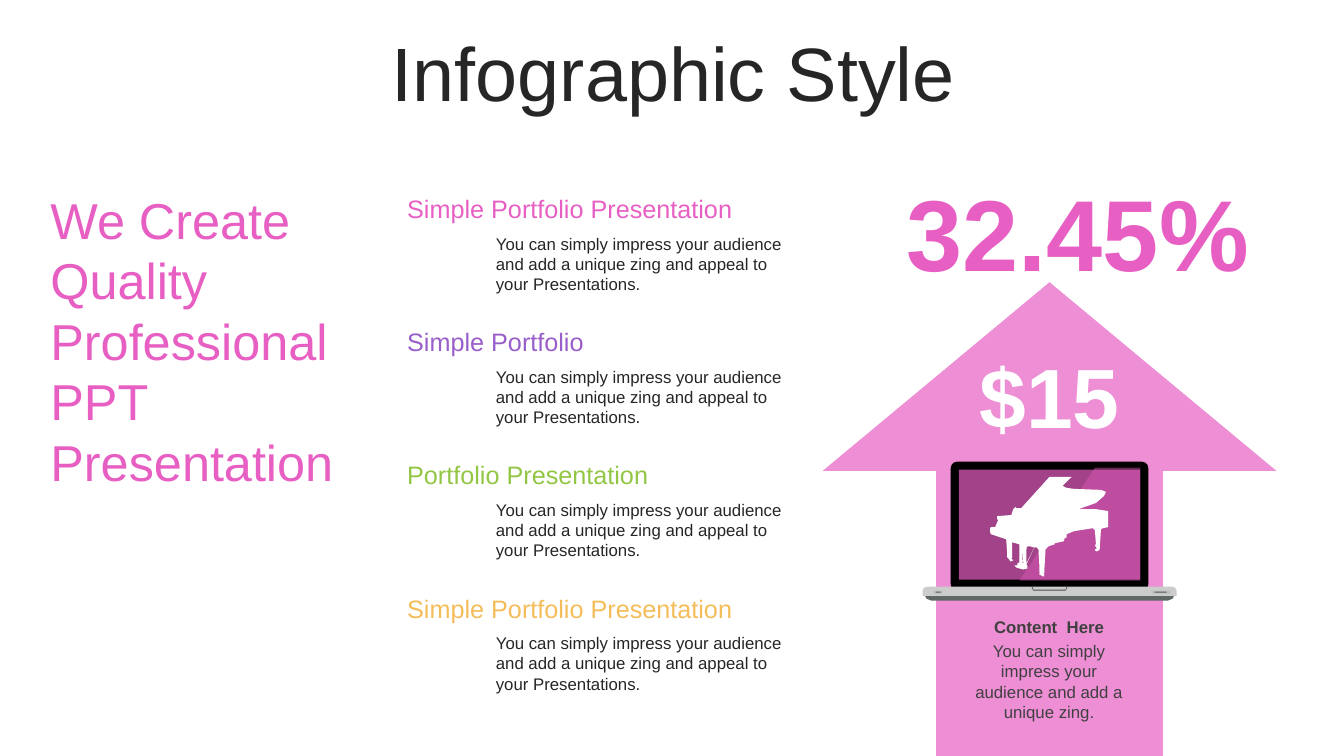
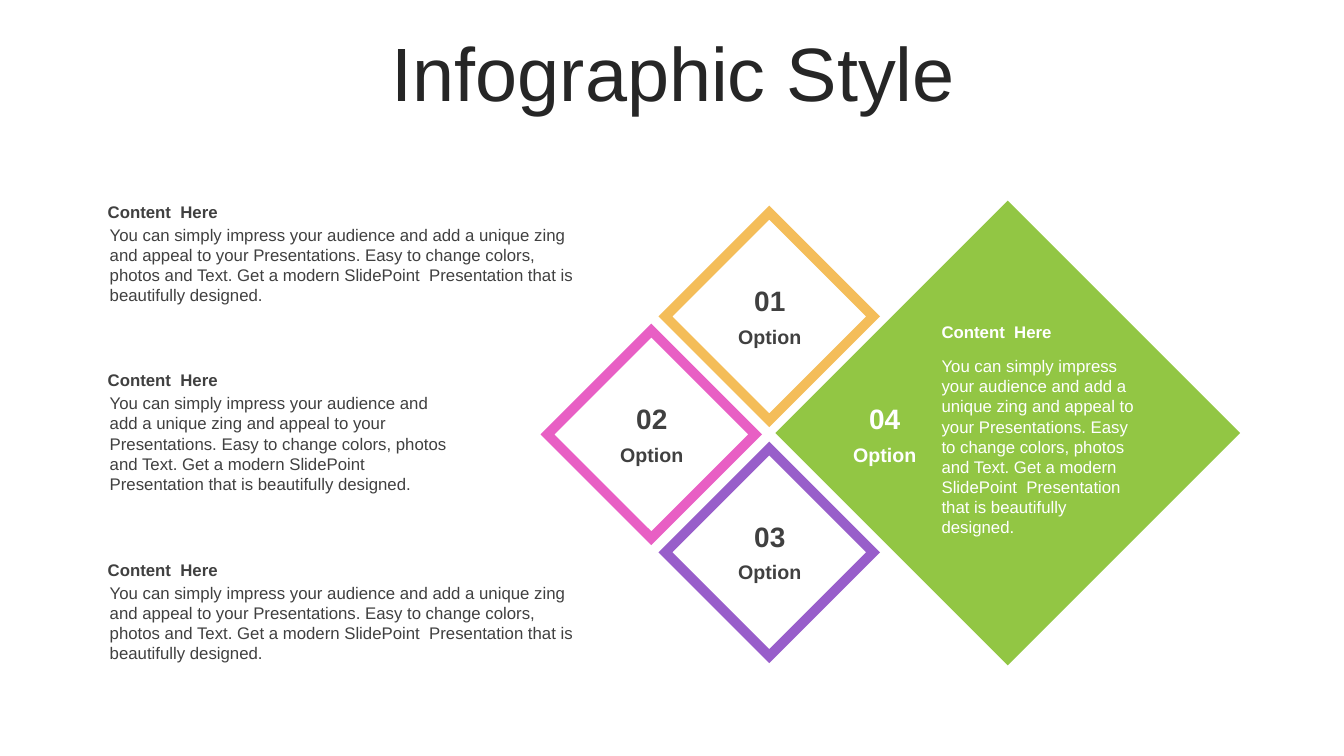
from dataclasses import dataclass

from lxml import etree
from pptx import Presentation
from pptx import util as u
from pptx.dml.color import RGBColor
from pptx.enum import shapes, text
from pptx.oxml.ns import qn
from pptx.shapes.autoshape import Shape
from pptx.slide import Slide

PX = 9144
WIDE, HIGH = 1333, 750
FONT = "Arial"
PINK = RGBColor(0xE8, 0x5F, 0xC4)
PURPLE = RGBColor(0x98, 0x5E, 0xCA)
GREEN = RGBColor(0x92, 0xC6, 0x44)
GOLD = RGBColor(0xF4, 0xBD, 0x59)
INK = RGBColor(0x26, 0x26, 0x26)
GREY = RGBColor(0x40, 0x40, 0x40)
WHITE = RGBColor(0xFF, 0xFF, 0xFF)
BLACK = RGBColor(0, 0, 0)
SILVER = RGBColor(0xCC, 0xCC, 0xCC)
PALE = RGBColor(0xBF, 0xBF, 0xBF)
SLATE = RGBColor(0x5F, 0x67, 0x67)
NOTCH = RGBColor(0x4D, 0x4D, 0x4D)
SLOT = RGBColor(0x59, 0x59, 0x59)

KIND = shapes.MSO_SHAPE
MIDDLE = text.MSO_ANCHOR.MIDDLE
HEAD = "Content  Here"
PITCH = "You can simply impress your audience and add a unique zing"
SHORT = PITCH + " and appeal to your Presentations."
LONG = (SHORT + " Easy to change colors, photos and Text. Get a modern "
        "SlidePoint  Presentation that is beautifully designed.")

Point = tuple[int, int]
PIANO: list[Point] = [
    (1019, 542), (1018, 543), (1018, 559), (1026, 543), (1018, 560),
    (1019, 561), (1019, 564), (1015, 565), (1011, 564), (1008, 563),
    (1007, 562), (1006, 561), (1009, 561), (1009, 559), (1011, 558),
    (1011, 540), (1004, 538), (1004, 553), (1003, 554), (1005, 556),
    (1002, 557), (1001, 555), (999, 553), (999, 549), (998, 535),
    (983, 530), (982, 528), (982, 524), (983, 523), (987, 523),
    (990, 516), (989, 515), (989, 512), (1003, 511), (1005, 505),
    (1007, 503), (1008, 504), (1013, 504), (1041, 473), (1063, 473),
    (1054, 482), (1058, 484), (1065, 485), (1092, 486), (1097, 488),
    (1095, 492), (1087, 499), (1070, 505), (1086, 505), (1099, 507),
    (1099, 523), (1094, 524), (1092, 525), (1091, 540), (1091, 544),
    (1090, 546), (1088, 547), (1086, 546), (1086, 545), (1088, 544),
    (1086, 541), (1087, 540), (1086, 526), (1084, 524), (1065, 527),
    (1058, 530), (1058, 533), (1056, 534), (1055, 537), (1046, 539),
    (1046, 540), (1040, 542), (1037, 545), (1036, 563), (1036, 568),
    (1035, 569), (1036, 570), (1035, 572), (1033, 571), (1031, 570),
    (1031, 569), (1032, 568), (1031, 568), (1031, 563), (1030, 545),
    (1028, 543), (1025, 543), (1022, 542), (1019, 542), (1014, 558),
    (1015, 559), (1014, 542), (1014, 557),
]
FOOT: list[Point] = [
    (917, 590), (1165, 590), (1163, 594), (1158, 596), (924, 596), (919, 594),
]
GLOSS: list[Point] = [(1086, 464), (1131, 464), (1131, 576), (1011, 576)]
DENT: list[Point] = [
    (1023, 582), (1024, 582), (1025, 585), (1057, 585), (1058, 582),
    (1059, 582), (1057, 586), (1025, 586),
]


@dataclass(frozen=True)
class Box:
    x: int
    y: int
    w: int
    h: int


@dataclass(frozen=True)
class Style:
    size: int
    color: RGBColor
    bold: bool = False
    center: bool = False
    lead: float = 1.0


@dataclass(frozen=True)
class Topic:
    head: str
    color: RGBColor


@dataclass(frozen=True)
class Option:
    label: str
    x: int
    y: int
    size: int
    fill: RGBColor
    ink: RGBColor
    edge: RGBColor | None = None


@dataclass(frozen=True)
class Note:
    y: int
    w: int
    h: int


@dataclass(frozen=True)
class Part:
    kind: KIND
    box: Box
    color: RGBColor
    bend: tuple[float, ...] = ()
    alpha: int = 100


TOPICS = [
    Topic("Simple Portfolio Presentation", PINK),
    Topic("Simple Portfolio", PURPLE),
    Topic("Portfolio Presentation", GREEN),
    Topic("Simple Portfolio Presentation", GOLD),
]
OPTIONS = [
    Option("02", 646, 431, 206, WHITE, GREY, PINK),
    Option("01", 763, 314, 206, WHITE, GREY, GOLD),
    Option("03", 763, 548, 206, WHITE, GREY, PURPLE),
]
NOTES = [Note(195, 488, 91), Note(362, 357, 111), Note(550, 488, 91)]
ARROW = Part(KIND.UP_ARROW, Box(816, 280, 450, 470), PINK, (0.5, 0.416), 70)
SCREEN = [
    Part(KIND.ROUNDED_RECTANGLE, Box(943, 458, 196, 128), BLACK, (0.05,)),
    Part(KIND.RECTANGLE, Box(951, 466, 180, 109), PINK, (), 70),
]
BASE = Part(KIND.ROUND_2_SAME_RECTANGLE, Box(915, 582, 252, 9), SILVER, (0.5, 0))
PORTS = [
    Part(KIND.ROUNDED_RECTANGLE, box, color, (0.28,))
    for box, color in [
        (Box(926, 586, 9, 3), PALE), (Box(928, 587, 5, 1), SLOT),
        (Box(1142, 586, 19, 3), PALE), (Box(1145, 587, 12, 1), SLOT),
    ]
]


def write(slide: Slide, box: Box, lines: list[str], style: Style,
          anchor: text.MSO_ANCHOR = text.MSO_ANCHOR.TOP,
          pad: Point = (10, 5)) -> None:
    frame = slide.shapes.add_textbox(
        box.x * PX, box.y * PX, box.w * PX, box.h * PX).text_frame
    frame.word_wrap = True
    frame.vertical_anchor = anchor
    frame.margin_left = frame.margin_right = pad[0] * PX
    frame.margin_top = frame.margin_bottom = pad[1] * PX
    for i, line in enumerate(lines):
        para = frame.add_paragraph() if i else frame.paragraphs[0]
        para.alignment = (text.PP_ALIGN.CENTER if style.center
                          else text.PP_ALIGN.LEFT)
        para.line_spacing = style.lead
        run = para.add_run()
        run.text = line
        run.font.name = FONT
        run.font.size = u.Pt(style.size)
        run.font.bold = style.bold
        run.font.color.rgb = style.color


def paint(shape: Shape, color: RGBColor, alpha: int = 100) -> None:
    shape.shadow.inherit = False
    shape.fill.solid()
    shape.fill.fore_color.rgb = color
    shape.line.fill.background()
    if alpha < 100:
        tint = shape._element.spPr.find(qn("a:solidFill"))[0]
        etree.SubElement(tint, qn("a:alpha"), val=str(alpha * 1000))


def place(slide: Slide, part: Part) -> Shape:
    box = part.box
    shape = slide.shapes.add_shape(
        part.kind, box.x * PX, box.y * PX, box.w * PX, box.h * PX)
    for i, bend in enumerate(part.bend):
        shape.adjustments[i] = bend
    paint(shape, part.color, part.alpha)
    return shape


def trace(slide: Slide, points: list[Point], color: RGBColor,
          alpha: int = 100) -> None:
    pen = slide.shapes.build_freeform(*points[0], scale=PX)
    pen.add_line_segments(points[1:], close=True)
    paint(pen.convert_to_shape(), color, alpha)


def title(slide: Slide) -> None:
    write(slide, Box(35, 37, 1266, 79), ["Infographic Style"],
          Style(54, INK, center=True, lead=0.9), MIDDLE)


def laptop(slide: Slide) -> None:
    trace(slide, FOOT, SLATE)
    for part in SCREEN:
        place(slide, part)
    place(slide, BASE)
    trace(slide, DENT, NOTCH)
    for part in PORTS:
        place(slide, part)
    trace(slide, GLOSS, PINK, 40)
    trace(slide, PIANO, WHITE)


def topic(slide: Slide, item: Topic, y: int) -> None:
    write(slide, Box(394, y, 408, 34), [item.head],
          Style(18, item.color, lead=0.8))
    write(slide, Box(482, y + 34, 320, 71), [SHORT], Style(12, INK))


def option(slide: Slide, item: Option) -> None:
    half = item.size // 2
    shape = place(slide, Part(
        KIND.DIAMOND,
        Box(item.x - half, item.y - half, item.size, item.size), item.fill))
    if item.edge is not None:
        shape.line.color.rgb = item.edge
        shape.line.width = u.Pt(7)
        etree.SubElement(shape.line._get_or_add_ln(), qn("a:miter"), lim="800000")


def label(slide: Slide, name: str, x: int, y: int, ink: RGBColor) -> None:
    write(slide, Box(x - 59, y + 3, 119, 34), ["Option"],
          Style(14, ink, True, True))
    write(slide, Box(x - 38, y - 38, 77, 44), [name],
          Style(20, ink, True, True), MIDDLE)


def note(slide: Slide, item: Note) -> None:
    write(slide, Box(97, item.y, item.w, 30), [HEAD],
          Style(12, GREY, True), MIDDLE)
    write(slide, Box(99, item.y + 23, item.w - 1, item.h), [LONG],
          Style(12, GREY))


def growth(slide: Slide) -> None:
    title(slide)
    place(slide, ARROW)
    write(slide, Box(901, 337, 280, 111), ["$15"],
          Style(60, WHITE, True, True))
    write(slide, Box(858, 164, 422, 131), ["32.45%"],
          Style(72, PINK, True, True))
    laptop(slide)
    write(slide, Box(950, 607, 181, 30), [HEAD], Style(12, GREY, True, True))
    write(slide, Box(950, 631, 181, 91), [PITCH + "."],
          Style(12, GREY, center=True))
    for i, item in enumerate(TOPICS):
        topic(slide, item, 193 + 132 * i)
    write(slide, Box(46, 186, 334, 303),
          ["We Create", "Quality Professional", "PPT Presentation"],
          Style(36, PINK), MIDDLE, (4, 0))


def choice(slide: Slide) -> None:
    title(slide)
    for item in OPTIONS:
        option(slide, item)
        label(slide, item.label, item.x, item.y, item.ink)
    option(slide, Option("04", 999, 429, 461, GREEN, WHITE))
    label(slide, "04", 877, 431, WHITE)
    write(slide, Box(924, 314, 280, 30), [HEAD], Style(12, WHITE, True))
    write(slide, Box(924, 348, 211, 192), [LONG], Style(12, WHITE))
    for item in NOTES:
        note(slide, item)


def main() -> None:
    deck = Presentation()
    deck.slide_width, deck.slide_height = u.Emu(WIDE * PX), u.Emu(HIGH * PX)
    for draw in (growth, choice):
        draw(deck.slides.add_slide(deck.slide_layouts[6]))
    deck.save("out.pptx")


if __name__ == "__main__":
    main()
